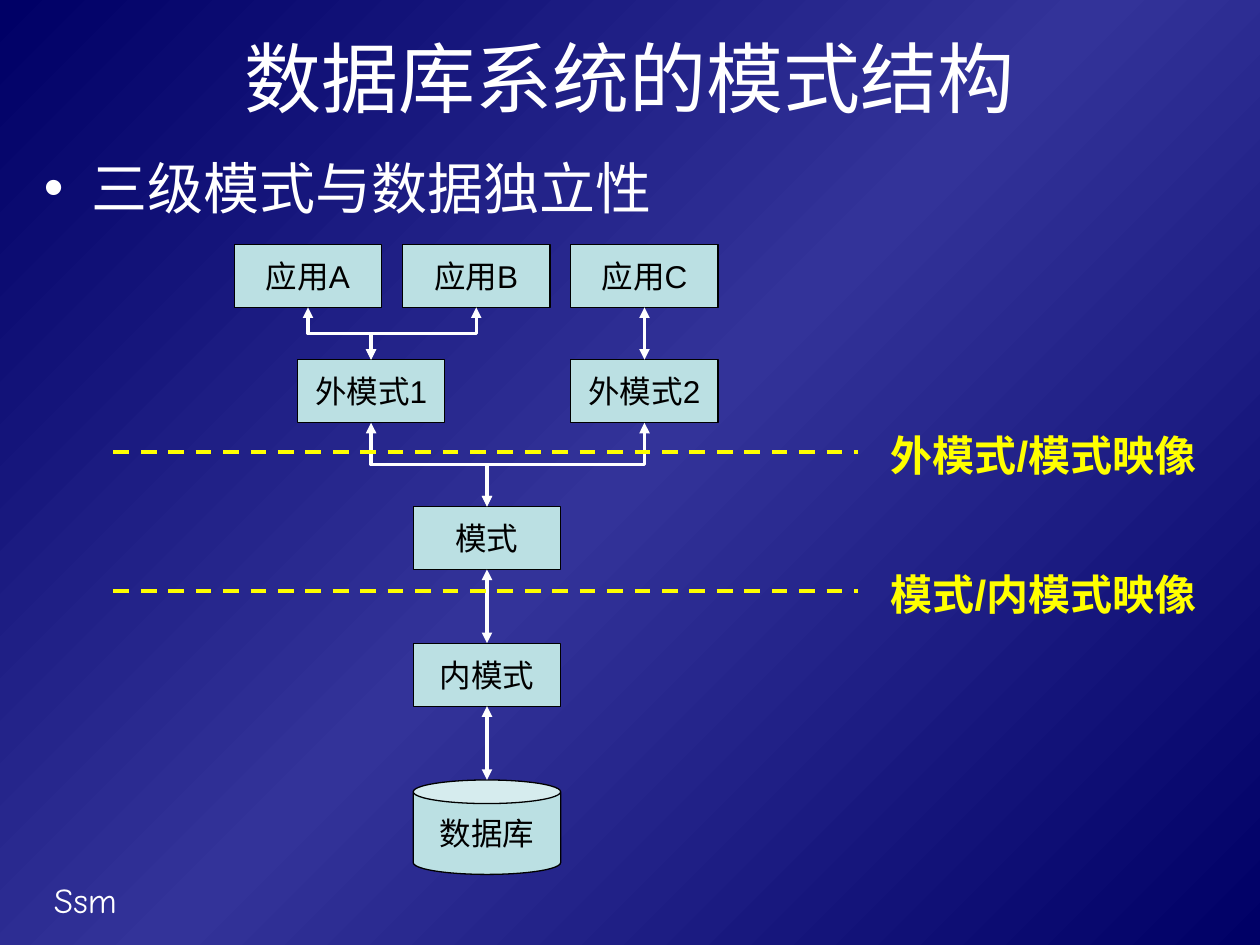
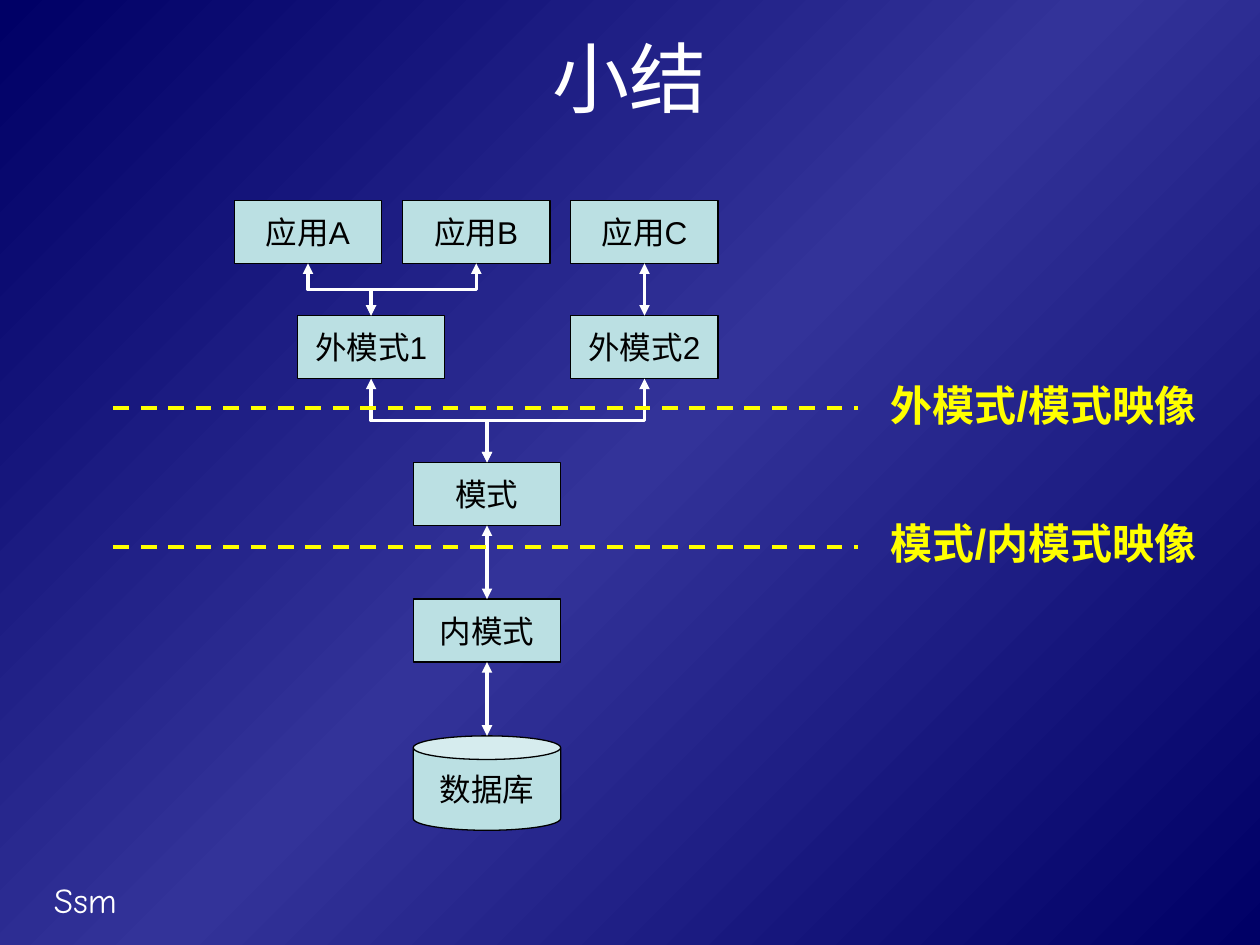
from copy import deepcopy
from dataclasses import dataclass, field
from typing import Any, NamedTuple, Optional

from lxml import etree
from pptx import Presentation
from pptx.dml.color import RGBColor
from pptx.enum.dml import MSO_LINE
from pptx.enum.shapes import MSO_CONNECTOR, MSO_SHAPE
from pptx.enum.text import MSO_ANCHOR, PP_ALIGN
from pptx.oxml.ns import qn
from pptx.util import Inches, Pt

RECT, CAN = MSO_SHAPE.RECTANGLE, MSO_SHAPE.CAN
LINE, ELBOW = MSO_CONNECTOR.STRAIGHT, MSO_CONNECTOR.ELBOW
DASH = MSO_LINE.DASH
LEFT, CENTER = PP_ALIGN.LEFT, PP_ALIGN.CENTER
TOP, MIDDLE = MSO_ANCHOR.TOP, MSO_ANCHOR.MIDDLE


@dataclass(frozen=True)
class Theme:
    navy: RGBColor = RGBColor(0x00, 0x00, 0x66)
    blue: RGBColor = RGBColor(0x33, 0x33, 0x99)
    white: RGBColor = RGBColor(0xFF, 0xFF, 0xFF)
    black: RGBColor = RGBColor(0x00, 0x00, 0x00)
    pale: RGBColor = RGBColor(0xBB, 0xE0, 0xE3)
    yellow: RGBColor = RGBColor(0xFF, 0xFF, 0x00)
    han: str = "Noto Sans CJK SC"
    latin: str = "Arial"
    comic: str = "Comic Neue"
    title: Pt = Pt(44)
    body: Pt = Pt(32)
    label: Pt = Pt(24)
    foot: Pt = Pt(20)
    node: Pt = Pt(18)
    edge: Pt = Pt(0.75)
    arrow: Pt = Pt(2)
    dash: Pt = Pt(2.25)


THEME = Theme()


class Style(NamedTuple):
    font: str
    size: Pt
    color: RGBColor
    bold: bool = False
    align: Any = LEFT
    anchor: Any = TOP
    wrap: bool = True
    before: float = 0


TITLE = Style(THEME.han, THEME.title, THEME.white, align=CENTER, anchor=MIDDLE)
BODY = Style(THEME.han, THEME.body, THEME.white, before=8)
FOOT = Style(THEME.comic, THEME.foot, THEME.white, before=12.5)
LABEL = Style(THEME.latin, THEME.label, THEME.yellow, bold=True, before=15)
NODE = Style(THEME.latin, THEME.node, THEME.black, align=CENTER, anchor=MIDDLE, wrap=False)


@dataclass(frozen=True)
class Node:
    text: str
    x: float
    y: float
    high: float = 0.5
    kind: Any = RECT


@dataclass(frozen=True)
class Page:
    title: str
    top: float
    maps: float
    points: list[str] = field(default_factory=list)


WIDE = 1.17
STEP = 1.335
APP_X, MID_X = 1.86, 3.28
NODES = {
    **{name: Node(f"应用{name}", APP_X + i * STEP, 0) for i, name in enumerate("ABC")},
    "ext1": Node("外模式1", 2.36, 0.915),
    "ext2": Node("外模式2", APP_X + 2 * STEP, 0.915),
    "schema": Node("模式", MID_X, 2.08),
    "inner": Node("内模式", MID_X, 3.165),
    "store": Node("数据库", MID_X, 4.25, 0.75, CAN),
}
LINKS = [
    ("A", "ext1"), ("B", "ext1"), ("C", "ext2"),
    ("ext1", "schema"), ("ext2", "schema"),
    ("schema", "inner"), ("inner", "store"),
]
MAPS = ["外模式/模式映像", "模式/内模式映像"]
MAP_GAP = 1.1
DASH_Y = 1.65

PAGES = [
    Page("数据库系统的模式结构", 1.94, 3.36, ["三级模式与数据独立性"]),
    Page("小结", 1.59, 2.96),
]


def put(item: Any, form: dict[str, Any]) -> None:
    for key, value in form.items():
        setattr(item, key, value)


def write(shape: Any, text: str, style: Style) -> Any:
    frame = shape.text_frame
    put(frame, {"word_wrap": style.wrap, "vertical_anchor": style.anchor})
    para = frame.paragraphs[0]
    put(para, {"alignment": style.align, "space_before": Pt(style.before)})
    run = para.add_run()
    run.text = text
    put(run.font, {"name": style.font, "size": style.size, "bold": style.bold})
    run.font.color.rgb = style.color
    east = etree.SubElement(run.font._element, qn("a:ea"))
    east.set("typeface", THEME.han)
    return para


def add_text(slide: Any, text: str, style: Style,
             x: float, y: float, wide: float, high: float) -> Any:
    box = slide.shapes.add_textbox(Inches(x), Inches(y), Inches(wide), Inches(high))
    return write(box, text, style)


def add_point(slide: Any, text: str) -> None:
    para = add_text(slide, text, BODY, 0.25, 1.17, 9.58, 5.75)
    props = para._p.get_or_add_pPr()
    props.set("marL", str(Inches(0.38)))
    props.set("indent", str(-Inches(0.38)))
    etree.SubElement(props, qn("a:buFont")).set("typeface", THEME.latin)
    etree.SubElement(props, qn("a:buChar")).set("char", "•")


def add_node(slide: Any, node: Node, top: float) -> Any:
    shape = slide.shapes.add_shape(
        node.kind, Inches(node.x), Inches(top + node.y), Inches(WIDE), Inches(node.high))
    shape.shadow.inherit = False
    shape.fill.solid()
    shape.fill.fore_color.rgb = THEME.pale
    shape.line.color.rgb = THEME.black
    shape.line.width = THEME.edge
    write(shape, node.text, NODE)
    return shape


def add_line(slide: Any, kind: Any, ends: tuple[float, float, float, float],
             color: RGBColor, width: Pt, dash: Optional[Any] = None,
             heads: bool = False) -> Any:
    line = slide.shapes.add_connector(kind, *(Inches(end) for end in ends))
    line.line.color.rgb = color
    put(line.line, {"width": width, "dash_style": dash})
    props = line._element.spPr
    if heads:
        for tag in ("a:headEnd", "a:tailEnd"):
            etree.SubElement(props.find(qn("a:ln")), qn(tag)).set("type", "triangle")
    etree.SubElement(props, qn("a:effectLst"))
    return line


def add_link(slide: Any, start: str, stop: str, shapes: dict[str, Any], top: float) -> None:
    upper, lower = NODES[start], NODES[stop]
    x1, x2 = upper.x + WIDE / 2, lower.x + WIDE / 2
    y1, y2 = top + upper.y + upper.high, top + lower.y
    pen = (THEME.white, THEME.arrow)
    if x1 == x2:
        line = add_line(slide, LINE, (x1, y1, x2, y2), *pen, heads=True)
        line.begin_connect(shapes[start], 2)
        if lower.kind == RECT:
            line.end_connect(shapes[stop], 0)
        return
    mid_x, mid_y = (x1 + x2) / 2, (y1 + y2) / 2
    half, rise = (y2 - y1) / 2, abs(x2 - x1) / 2
    right = x2 > x1
    side = half if right else -half
    ends = (mid_x + side, mid_y - rise, mid_x - side, mid_y + rise)
    line = add_line(slide, ELBOW, ends, *pen, heads=True)
    turn = 270 if right else 90
    line._element.spPr.find(qn("a:xfrm")).set("rot", str(turn * 60000))


def add_back(slide: Any) -> None:
    fill = slide.background.fill
    fill.gradient()
    fill.gradient_angle = 315
    stops = slide.element.find(".//" + qn("a:gsLst"))
    stops.append(deepcopy(stops[-1]))
    colors = (THEME.navy, THEME.blue, THEME.navy)
    for i, (stop, color) in enumerate(zip(fill.gradient_stops, colors)):
        stop.color.rgb = color
        stop.position = i / 2


def add_chain(slide: Any, page: Page) -> None:
    shapes = {key: add_node(slide, node, page.top) for key, node in NODES.items()}
    for start, stop in LINKS:
        add_link(slide, start, stop, shapes, page.top)
    for i, text in enumerate(MAPS):
        y = page.top + DASH_Y + i * MAP_GAP
        add_line(slide, LINE, (0.9, y, 6.81, y), THEME.yellow, THEME.dash, DASH)
        add_text(slide, text, LABEL, 6.97, page.maps + i * MAP_GAP, 3.03, 0.5)


def add_page(deck: Any, page: Page) -> None:
    slide = deck.slides.add_slide(deck.slide_layouts[6])
    add_back(slide)
    add_text(slide, "Ssm", FOOT, 0.33, 6.92, 2.08, 0.44)
    add_text(slide, page.title, TITLE, 0.5, 0.17, 9, 0.87)
    for text in page.points:
        add_point(slide, text)
    add_chain(slide, page)


def main() -> None:
    deck = Presentation()
    put(deck, {"slide_width": Inches(10), "slide_height": Inches(7.5)})
    for page in PAGES:
        add_page(deck, page)
    deck.save("out.pptx")


if __name__ == "__main__":
    main()
